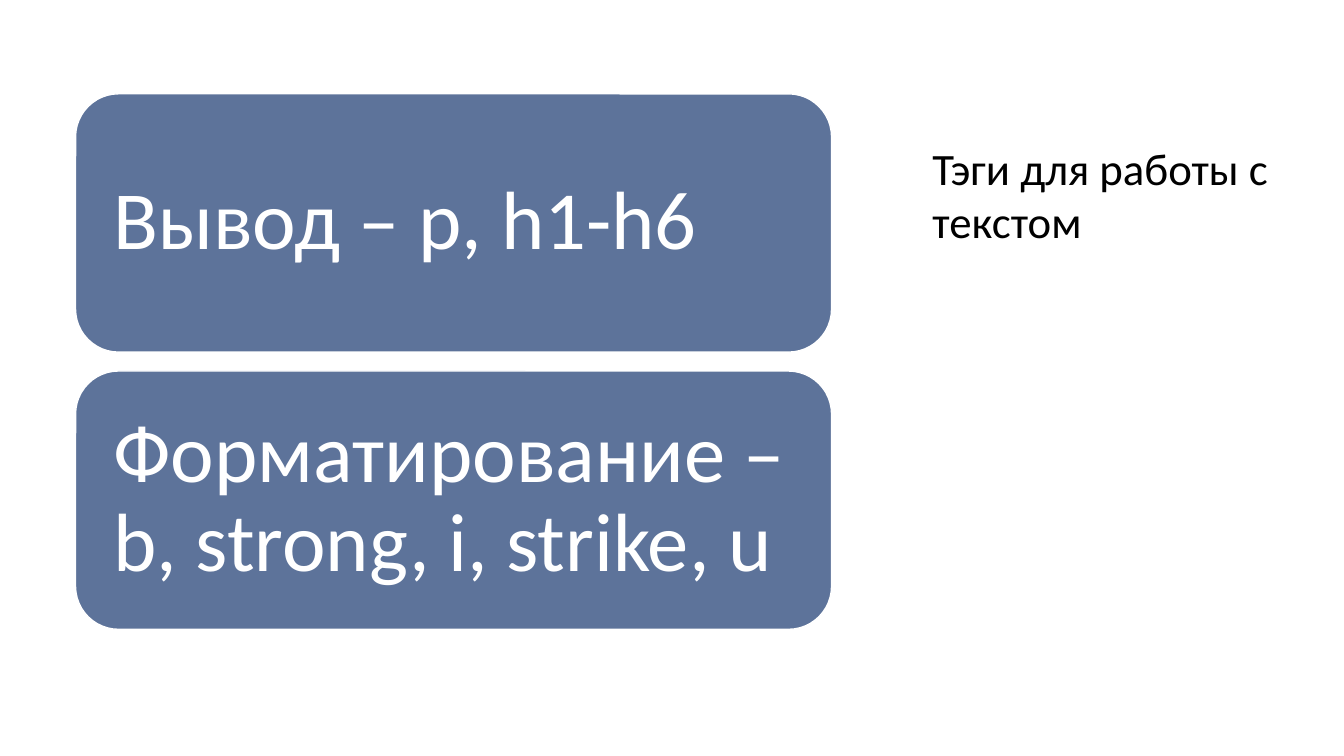
from pptx import Presentation
from pptx.dml.color import RGBColor
from pptx.enum.shapes import MSO_SHAPE
from pptx.enum.text import MSO_ANCHOR, MSO_AUTO_SIZE, PP_ALIGN
from pptx.util import Pt

ROUNDED = MSO_SHAPE.ROUNDED_RECTANGLE
MIDDLE, BOTTOM = MSO_ANCHOR.MIDDLE, MSO_ANCHOR.BOTTOM
LEFT = PP_ALIGN.LEFT
NO_FIT = MSO_AUTO_SIZE.NONE


def rgb(value):
    return RGBColor.from_string(value)


class Deck:
    FONT = "Calibri"
    BLACK, WHITE, BLUE = "000000", "FFFFFF", "5D739A"

    def __init__(self, width, height):
        self.prs = Presentation()
        self.prs.slide_width, self.prs.slide_height = Pt(width), Pt(height)
        self.s = self.prs.slides.add_slide(self.prs.slide_layouts[5])

    def add_text(self, sp, text, size, color, anchor, inset, spacing):
        tf = sp.text_frame
        tf.word_wrap = True
        tf.auto_size = NO_FIT
        tf.vertical_anchor = anchor
        tf.margin_left = tf.margin_right = Pt(inset)
        tf.margin_top = tf.margin_bottom = Pt(inset)
        p = tf.paragraphs[0]
        p.alignment = LEFT
        p.line_spacing = spacing
        r = p.add_run()
        r.text = text
        r.font.name = self.FONT
        r.font.size = Pt(size)
        r.font.color.rgb = rgb(color)

    def title(self, text, left, top, width, height):
        sp = self.s.shapes.title
        sp.left, sp.top = Pt(left), Pt(top)
        sp.width, sp.height = Pt(width), Pt(height)
        self.add_text(sp, text, 32, self.BLACK, BOTTOM, 0, 1.0)

    def card(self, text, left, top, width, height):
        sp = self.s.shapes.add_shape(ROUNDED, Pt(left), Pt(top), Pt(width), Pt(height))
        sp.shadow.inherit = False
        sp.fill.solid()
        sp.fill.fore_color.rgb = rgb(self.BLUE)
        sp.line.color.rgb = rgb(self.WHITE)
        sp.line.width = Pt(1)
        self.add_text(sp, text, 59, self.WHITE, MIDDLE, 18, 0.9)


def main():
    deck = Deck(960, 540)
    deck.title("Тэги для работы с текстом", 666, 47.5, 249, 129.5)
    cards = ["Вывод – p, h1-h6", "Форматирование – b, strong, i, strike, u"]
    height, gap = 184.5, 13.5
    for i, text in enumerate(cards):
        deck.card(text, 54, 67 + i * (height + gap), 540, height)
    deck.prs.save("out.pptx")


if __name__ == "__main__":
    main()
